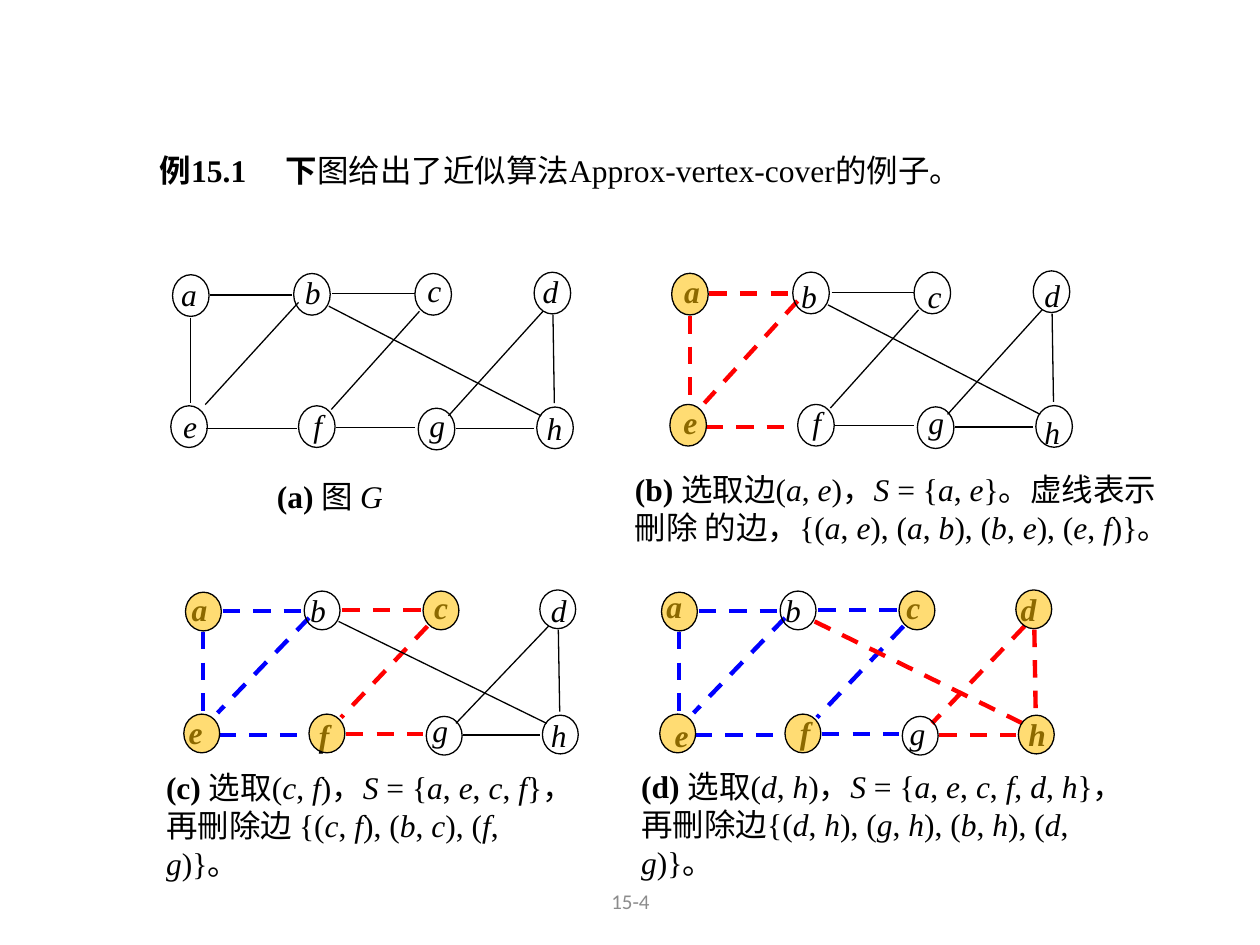
from itertools import groupby

from lxml import etree
from pptx import Presentation
from pptx.dml.color import RGBColor
from pptx.enum import dml, shapes, text
from pptx.oxml import ns
from pptx.util import Pt

COLORS = {"black": "000000", "red": "FF0000", "blue": "0000FF",
          "gold": "FFC000", "gray": "8C8C8C"}
SERIF = "Times New Roman"

# Graph geometry in points, measured from the top left corner of vertex a
VERTICES = {"a": (0, 0), "b": (69.2, -0.7), "c": (138.5, -0.7), "d": (206.6, -1.4),
            "e": (-1, 74.9), "f": (72, 74.9), "g": (140.4, 76.3), "h": (208.1, 75.6)}
EDGES = {
    "ab": (21.6, 11.5, 68.4, 11.5), "ae": (10.4, 24.5, 10.4, 73.4),
    "ef": (19.4, 87.8, 71.3, 87.8), "be": (72, 15.8, 18.7, 74.2),
    "bc": (91.4, 10.8, 138.6, 10.8), "cf": (141.1, 20.9, 90.7, 77),
    "fg": (93.6, 87.1, 138.6, 87.1), "dg": (211.7, 20.9, 157.7, 80.6),
    "dh": (217.4, 23, 218.2, 73.4), "gh": (162, 87.8, 206.6, 87.8),
    "bh": (89.3, 18, 210.6, 80.6),
}
VERTEX_SIZE = (20.9, 23.8)

# One entry per step; label_shifts follow the order of VERTICES
PANELS = [
    dict(origin=(98.6, 157), scale=(1, 1), chosen="", red=[], blue=[],
         label_shifts=[(-2.2, -3.6), (-0.7, -3.6), (0, -5), (-2.2, -3.6),
                       (0, -2.9), (1.4, -3.6), (-0.7, -5), (-1.4, -2.2)],
         caption=("(a) ", "图 G"), caption_box=(151.2, 269.3, 90.7, 40.3)),
    dict(origin=(383.8, 156.2), scale=(1, 1), chosen="ae",
         red=["ab", "ae", "ef", "be"], blue=[],
         label_shifts=[(0, -4.3), (-2.2, -0.7), (0.7, -0.7), (-0.7, -0.7),
                       (0.7, -4.3), (1.4, -4.3), (-0.7, -5.8), (-2.2, 0.7)],
         caption=("(b) ", "选取边(a, e)，S = {a, e}。虚线表示刪除 的边，"
                          "{(a, e), (a, b), (b, e), (e, f)}。"),
         caption_box=(355.7, 265, 321.8, 54)),
    dict(origin=(106, 338.4), scale=(0.98, 0.93), chosen="aecf",
         red=["bc", "cf", "fg"], blue=["ab", "ae", "ef", "be"],
         label_shifts=[(-3.6, -5), (-3.6, -3.6), (-0.7, -5), (-0.7, -2.9),
                       (-4.3, -4.3), (-1.4, -2.2), (-3.6, -6.5), (-2.2, -2.9)],
         caption=("(c) ", "选取(c, f)，S = {a, e, c, f}，再刪除边 "
                          "{(c, f), (b, c), (f, g)}。"),
         caption_box=(87.8, 435.6, 248.4, 46.1)),
    dict(origin=(378, 338.4), scale=(0.98, 0.93), chosen="aecfdh",
         red=["dg", "dh", "gh", "bh"],
         blue=["ab", "ae", "ef", "be", "bc", "cf", "fg"],
         label_shifts=[(-4.3, -6.5), (-4.3, -3.6), (-2.9, -5), (-4.3, -3.6),
                       (1.4, -2.2), (1.4, -4.3), (-2.9, -5), (-1.4, -3.6)],
         caption=("(d) ", "选取(d, h)，S = {a, e, c, f, d, h}，再刪除边"
                          "{(d, h), (g, h), (b, h), (d, g)}。"),
         caption_box=(359.3, 434.9, 301, 46.8)),
]


def color(name):
    return RGBColor.from_string(COLORS[name])


def add_run(paragraph, content, size=18, font=SERIF, fill="black", bold=False, italic=False):
    run = paragraph.add_run()
    run.text = content
    run.font.size, run.font.name = Pt(size), font
    run.font.bold, run.font.italic = bold, italic
    run.font.color.rgb = color(fill)


def add_text_box(slide, box):
    """Add an empty wrapping text box and return its text frame."""
    frame = slide.shapes.add_textbox(*map(Pt, box)).text_frame
    frame.word_wrap = True
    return frame


def add_edge(slide, points, line_color):
    connector = slide.shapes.add_connector(shapes.MSO_CONNECTOR.STRAIGHT, *map(Pt, points))
    connector.line.color.rgb = color(line_color)
    connector.line.width = Pt(0.75)
    if line_color != "black":
        connector.line.width = Pt(2.5)
        connector.line.dash_style = dml.MSO_LINE.DASH
    etree.SubElement(connector._element.spPr, ns.qn("a:effectLst"))


def add_vertex(slide, box, chosen):
    ellipse = slide.shapes.add_shape(shapes.MSO_SHAPE.OVAL, *map(Pt, box))
    ellipse.shadow.inherit = False
    ellipse.line.color.rgb = color("black")
    ellipse.line.width = Pt(0.75)
    if not chosen:
        ellipse.fill.background()
        return
    ellipse.fill.solid()
    ellipse.fill.fore_color.rgb = color("gold")
    fill_color = ellipse._element.spPr.find(".//" + ns.qn("a:srgbClr"))
    etree.SubElement(fill_color, ns.qn("a:alpha"), val="55000")


def add_caption(slide, box, heading, body):
    """Write a bold heading and a body whose Latin letters are italic."""
    paragraph = add_text_box(slide, box).paragraphs[0]
    add_run(paragraph, heading, bold=True)
    for italic, letters in groupby(body, lambda letter: letter.isascii() and letter.isalpha()):
        add_run(paragraph, "".join(letters), italic=italic)


def add_panel(slide, panel):
    (left, top), (scale_x, scale_y) = panel["origin"], panel["scale"]

    def place(x, y):
        return left + x * scale_x, top + y * scale_y

    for name, (x1, y1, x2, y2) in EDGES.items():
        line_color = "red" if name in panel["red"] else "blue" if name in panel["blue"] else "black"
        add_edge(slide, place(x1, y1) + place(x2, y2), line_color)

    # Labels lie below the translucent vertices
    width, height = VERTEX_SIZE
    for (name, position), (dx, dy) in zip(VERTICES.items(), panel["label_shifts"]):
        x, y = place(*position)
        chosen = name in panel["chosen"]
        label = add_text_box(slide, (x + dx, y + dy, 28.8 * scale_x, 33.1 * scale_y))
        add_run(label.paragraphs[0], name, bold=chosen, italic=True)
        add_vertex(slide, (x, y, width * scale_x, height * scale_y), chosen)

    add_caption(slide, panel["caption_box"], *panel["caption"])


def add_title(slide):
    paragraph = add_text_box(slide, (84.2, 72, 570.2, 36)).paragraphs[0]
    paragraph.line_spacing = 1.5
    properties = paragraph._p.get_or_add_pPr()
    properties.set("marL", str(Pt(36)))
    properties.set("indent", str(Pt(-36)))
    add_run(paragraph, "例15.1\t下", bold=True)
    add_run(paragraph, "图给出了近似算法Approx-vertex-cover的例子。")


def add_page_number(slide):
    frame = add_text_box(slide, (246.2, 500.4, 228.2, 28.8))
    frame.vertical_anchor = text.MSO_ANCHOR.MIDDLE
    frame.paragraphs[0].alignment = text.PP_ALIGN.CENTER
    add_run(frame.paragraphs[0], "15-4", size=12, font="Calibri", fill="gray")


def main():
    presentation = Presentation()
    presentation.slide_width, presentation.slide_height = Pt(720), Pt(540)
    slide = presentation.slides.add_slide(presentation.slide_layouts[6])
    add_page_number(slide)
    add_title(slide)
    for panel in PANELS:
        add_panel(slide, panel)
    presentation.save("out.pptx")


if __name__ == "__main__":
    main()
